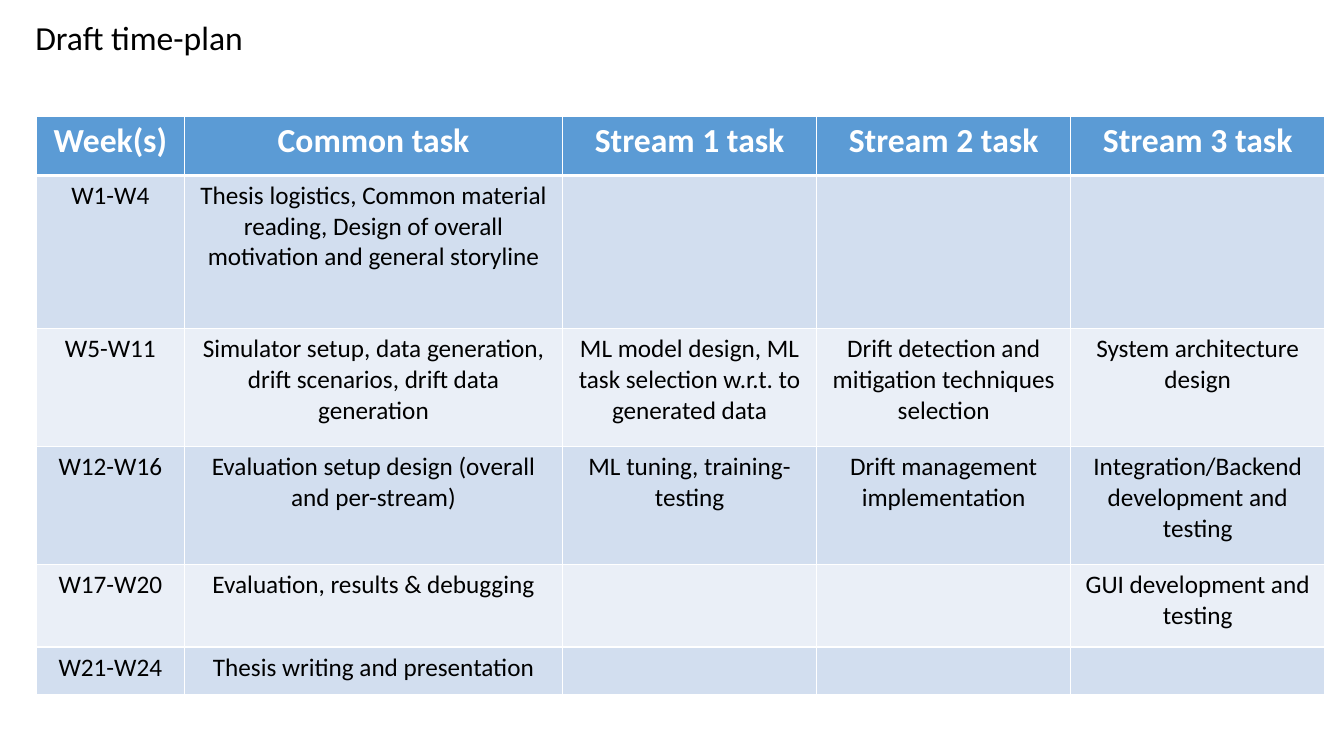
from lxml.etree import SubElement
from pptx import Presentation
from pptx.dml.color import RGBColor
from pptx.enum.text import MSO_ANCHOR, PP_ALIGN
from pptx.oxml.ns import qn
from pptx.util import Inches, Pt

# Content
TITLE = "Draft time-plan"
PLAN = [
    ("Week(s)", "Common task", "Stream 1 task", "Stream 2 task", "Stream 3 task"),
    ("W1-W4", "Thesis logistics, Common material reading, "
     "Design of overall motivation and general storyline", "", "", ""),
    ("W5-W11", "Simulator setup, data generation, drift scenarios, drift data generation",
     "ML model design, ML task selection w.r.t. to generated data",
     "Drift detection and mitigation techniques selection",
     "System architecture design"),
    ("W12-W16", "Evaluation setup design (overall and per-stream)",
     "ML tuning, training-testing", "Drift management implementation",
     "Integration/Backend development and testing"),
    ("W17-W20", "Evaluation, results & debugging", "", "", "GUI development and testing"),
    ("W21-W24", "Thesis writing and presentation", "", "", ""),
]

# Grid, in inches
COLUMNS = [1.47, 3.75] + [2.52] * 3
ROWS = [0.59, 1.52, 1.17, 1.17, 0.82, 0.47]
TABLE_LEFT, TABLE_TOP = 0.36, 1.15

# Style
FONT = "Calibri"
BLACK = RGBColor(0x00, 0x00, 0x00)
WHITE = RGBColor(0xFF, 0xFF, 0xFF)
HEADER_BLUE = RGBColor(0x5B, 0x9B, 0xD5)
BANDS = [RGBColor(0xEA, 0xEF, 0xF7), RGBColor(0xD2, 0xDE, 0xEF)]


def add_text(para, text, size, color, bold=False):
    span = para.add_run()
    span.text = text
    span.font.name = FONT
    span.font.size = Pt(size)
    span.font.color.rgb = color
    span.font.bold = bold


def set_border(cell, side, width):
    line = SubElement(cell._tc.get_or_add_tcPr(), qn(f"a:ln{side}"), w=str(Pt(width)))
    fill = SubElement(line, qn("a:solidFill"))
    SubElement(fill, qn("a:srgbClr"), val=str(WHITE))


def format_cell(cell, text, row):
    header = row == 0
    # The rule under the header is thicker than the others
    thick_sides = {0: "B", 1: "T"}
    for side in "LRTB":
        set_border(cell, side, 3 if thick_sides.get(row) == side else 1)
    cell.fill.solid()
    cell.fill.fore_color.rgb = HEADER_BLUE if header else BANDS[row % 2]
    para = cell.text_frame.paragraphs[0]
    para.alignment = PP_ALIGN.CENTER
    para.font.size = Pt(24 if header else 18)
    if text:
        add_text(para, text, 24 if header else 18, WHITE if header else BLACK, header)


def main():
    deck = Presentation()
    deck.slide_width, deck.slide_height = Inches(13.33), Inches(7.5)
    page = deck.slides.add_slide(deck.slide_layouts[5])

    # Title
    title = page.shapes.title
    title.left, title.top = Inches(0.25), Inches(0.12)
    title.width, title.height = Inches(5.36), Inches(0.5)
    frame = title.text_frame
    frame.word_wrap = True
    frame.vertical_anchor = MSO_ANCHOR.TOP
    frame.paragraphs[0].alignment = PP_ALIGN.LEFT
    add_text(frame.paragraphs[0], TITLE, 24, BLACK)

    # Time-plan table
    table = page.shapes.add_table(
        len(ROWS), len(COLUMNS), Inches(TABLE_LEFT), Inches(TABLE_TOP),
        Inches(sum(COLUMNS)), Inches(sum(ROWS))).table
    for column, width in zip(table.columns, COLUMNS):
        column.width = Inches(width)
    for row, (height, texts) in enumerate(zip(ROWS, PLAN)):
        table.rows[row].height = Inches(height)
        for column, text in enumerate(texts):
            format_cell(table.cell(row, column), text, row)

    deck.save("out.pptx")


if __name__ == "__main__":
    main()
